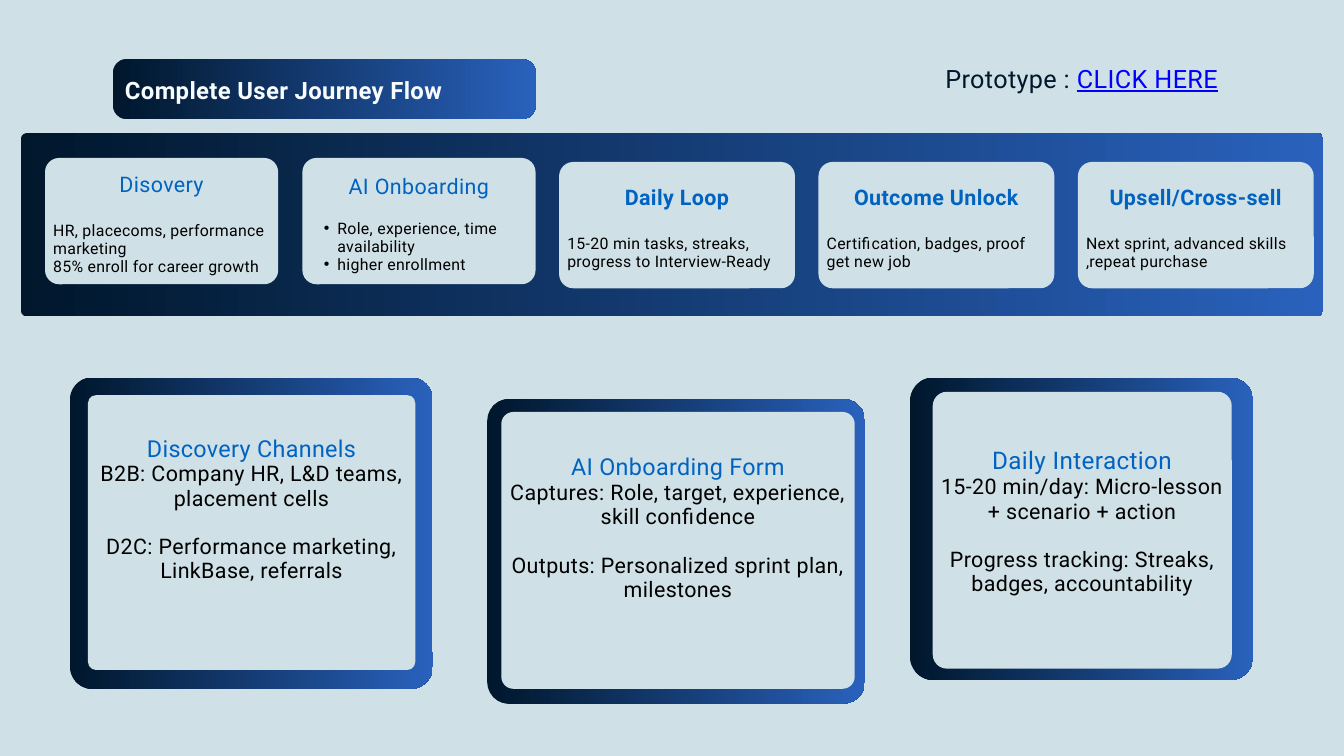
import pptx
import pptx.util
import pptx.dml.color
import pptx.enum.shapes
import pptx.enum.text
import pptx.oxml
import pptx.oxml.ns

Inches = pptx.util.Inches
Pt = pptx.util.Pt
RGBColor = pptx.dml.color.RGBColor
ALIGN = pptx.enum.text.PP_ALIGN
ANCHOR = pptx.enum.text.MSO_ANCHOR

PALE = RGBColor(0xCF, 0xE0, 0xE6)
NAVY = RGBColor(0x00, 0x17, 0x2C)
BLUE = RGBColor(0x29, 0x61, 0xBC)
HEADING = RGBColor(0x00, 0x63, 0xC2)
TITLE = RGBColor(0xF8, 0xFC, 0xFF)
BLACK = RGBColor(0, 0, 0)
LINK = RGBColor(0, 0, 0xFF)

FONT = "Roboto"
PAD = 0.06
LINE = 26

# heading, bold, gap before the body, bulleted, body lines
STEPS = [
    ("Disovery", False, 26, False,
     ["HR, placecoms, performance marketing", "85% enroll for career growth"]),
    ("AI Onboarding", False, 22.6, True,
     ["Role, experience, time availability", "higher enrollment"]),
    ("Daily Loop", True, 26, False,
     ["15-20 min tasks, streaks, progress to Interview-Ready"]),
    ("Outcome Unlock", True, 26, False,
     ["Certification, badges, proof get new job"]),
    ("Upsell/Cross-sell", True, 26, False,
     ["Next sprint, advanced skills", ",repeat purchase"]),
]
STEP_BOXES = [(0.67 + 3.83 * i, 2.35, 3.47, 1.88) for i in range(2)]
STEP_BOXES += [(8.32 + 3.86 * i, 2.41, 3.51, 1.88) for i in range(3)]

# frame, frame radius, card, card radius, top offset, free lines below,
# heading size, heading, body lines
PANELS = [
    ((1.04, 5.62, 5.4, 4.63), 0.33, (1.31, 5.88, 4.87, 4.09), 0.12, 0.03, 2,
     25, "Discovery Channels",
     ["B2B: Company HR, L&D teams, placement cells",
      "D2C: Performance marketing, LinkBase, referrals"]),
    ((7.25, 5.94, 5.62, 4.53), 0.32, (7.46, 6.13, 5.26, 4.12), 0.18, 0.06, 2,
     25, "AI Onboarding Form",
     ["Captures: Role, target, experience, skill confidence",
      "Outputs: Personalized sprint plan, milestones"]),
    ((13.54, 5.62, 5.11, 4.5), 0.35, (13.88, 5.83, 4.45, 4.12), 0.21, 0.11, 1,
     26, "Daily Interaction",
     ["15-20 min/day: Micro-lesson + scenario + action",
      "Progress tracking: Streaks, badges, accountability"]),
]


def add_rounded(s, box, radius):
    sp = s.shapes.add_shape(pptx.enum.shapes.MSO_SHAPE.ROUNDED_RECTANGLE,
                            *map(Inches, box))
    sp.adjustments[0] = radius / min(box[2:])
    sp.shadow.inherit = False
    sp.line.fill.background()
    return sp


def add_gradient_box(s, box, radius):
    sp = add_rounded(s, box, radius)
    sp.fill.gradient()
    sp.fill.gradient_angle = 0
    for stop, position, color in zip(sp.fill.gradient_stops, (0, 1), (NAVY, BLUE)):
        stop.position = position
        stop.color.rgb = color


def add_card(s, box, radius, top=0, bottom=0):
    """Add a pale card and return its text frame; top and bottom add to the padding."""
    sp = add_rounded(s, box, radius)
    sp.fill.solid()
    sp.fill.fore_color.rgb = PALE
    set_frame(sp.text_frame, ANCHOR.MIDDLE, PAD, top, bottom)
    return sp.text_frame


def set_frame(tf, anchor, pad=0, top=0, bottom=0):
    tf.word_wrap = True
    tf.vertical_anchor = anchor
    tf.margin_left = tf.margin_right = Inches(pad)
    tf.margin_top = Inches(pad + top)
    tf.margin_bottom = Inches(pad + bottom)


def add_paragraph(tf, line, align=ALIGN.LEFT, before=0):
    """Return the empty first paragraph, or a new one when that is taken."""
    first = tf.paragraphs[0]
    p = tf.add_paragraph() if first.runs else first
    p.alignment = align
    p.line_spacing = Pt(line)
    p.space_before = Pt(before)
    return p


def add_run(p, text, size, color, spacing=0.4, bold=False, underline=False):
    r = p.add_run()
    r.text = text
    r.font.name = FONT
    r.font.size = Pt(size)
    r.font.bold = bold
    r.font.underline = underline
    r.font.color.rgb = color
    r.font._element.set("spc", str(round(spacing * 100)))


def add_bullet(p):
    pPr = p._p.get_or_add_pPr()
    pPr.set("marL", str(Inches(0.4)))
    pPr.set("indent", str(Inches(-0.2)))
    ns = pptx.oxml.ns.nsdecls("a")
    pPr.append(pptx.oxml.parse_xml(f'<a:buFont {ns} typeface="Arial"/>'))
    pPr.append(pptx.oxml.parse_xml(f'<a:buChar {ns} char="•"/>'))


def add_step(s, box, heading, bold, gap, bulleted, lines):
    tf = add_card(s, box, 0.21, top=0.09)
    add_run(add_paragraph(tf, LINE, ALIGN.CENTER), heading, 23, HEADING, bold=bold)
    for i, text in enumerate(lines):
        p = add_paragraph(tf, 19.2, before=0 if i else gap)
        if bulleted:
            add_bullet(p)
        add_run(p, text, 17, BLACK, spacing=0.3)


def add_panel(s, frame, frame_radius, box, radius, top, free_lines,
              size, heading, lines):
    add_gradient_box(s, frame, frame_radius)
    tf = add_card(s, box, radius, top, free_lines * LINE / 72)
    add_run(add_paragraph(tf, size * 1.13, ALIGN.CENTER), heading, size, HEADING)
    for i, text in enumerate(lines):
        p = add_paragraph(tf, LINE, ALIGN.CENTER, before=LINE if i else 0)
        add_run(p, text, 23, BLACK)


def add_title(s, text):
    title = s.shapes.title
    title.left, title.top, title.width, title.height = map(
        Inches, (1.86, 1.15, 5.6, 0.39))
    set_frame(title.text_frame, ANCHOR.TOP)
    title.text_frame.auto_size = pptx.enum.text.MSO_AUTO_SIZE.NONE
    add_run(add_paragraph(title.text_frame, 28.9), text, 25.6, TITLE, bold=True)
    # Bring the title in front of its banner
    title.element.getparent().append(title.element)


def add_prototype_note(s):
    tf = s.shapes.add_textbox(*map(Inches, (13.91, 0.97, 4.37, 0.42))).text_frame
    set_frame(tf, ANCHOR.TOP)
    p = add_paragraph(tf, 30.5, ALIGN.CENTER)
    add_run(p, "Prototype : ", 27, NAVY)
    add_run(p, "CLICK HERE", 27, LINK, underline=True)


def main():
    prs = pptx.Presentation()
    prs.slide_width = Inches(20)
    prs.slide_height = Inches(11.25)
    s = prs.slides.add_slide(prs.slide_layouts[5])
    s.background.fill.solid()
    s.background.fill.fore_color.rgb = PALE

    add_gradient_box(s, (1.68, 0.88, 6.29, 0.89), 0.2)
    add_title(s, "Complete User Journey Flow")
    add_prototype_note(s)
    add_gradient_box(s, (0.31, 1.98, 19.38, 2.73), 0.09)
    for box, step in zip(STEP_BOXES, STEPS):
        add_step(s, box, *step)
    for panel in PANELS:
        add_panel(s, *panel)
    prs.save("out.pptx")


if __name__ == "__main__":
    main()
